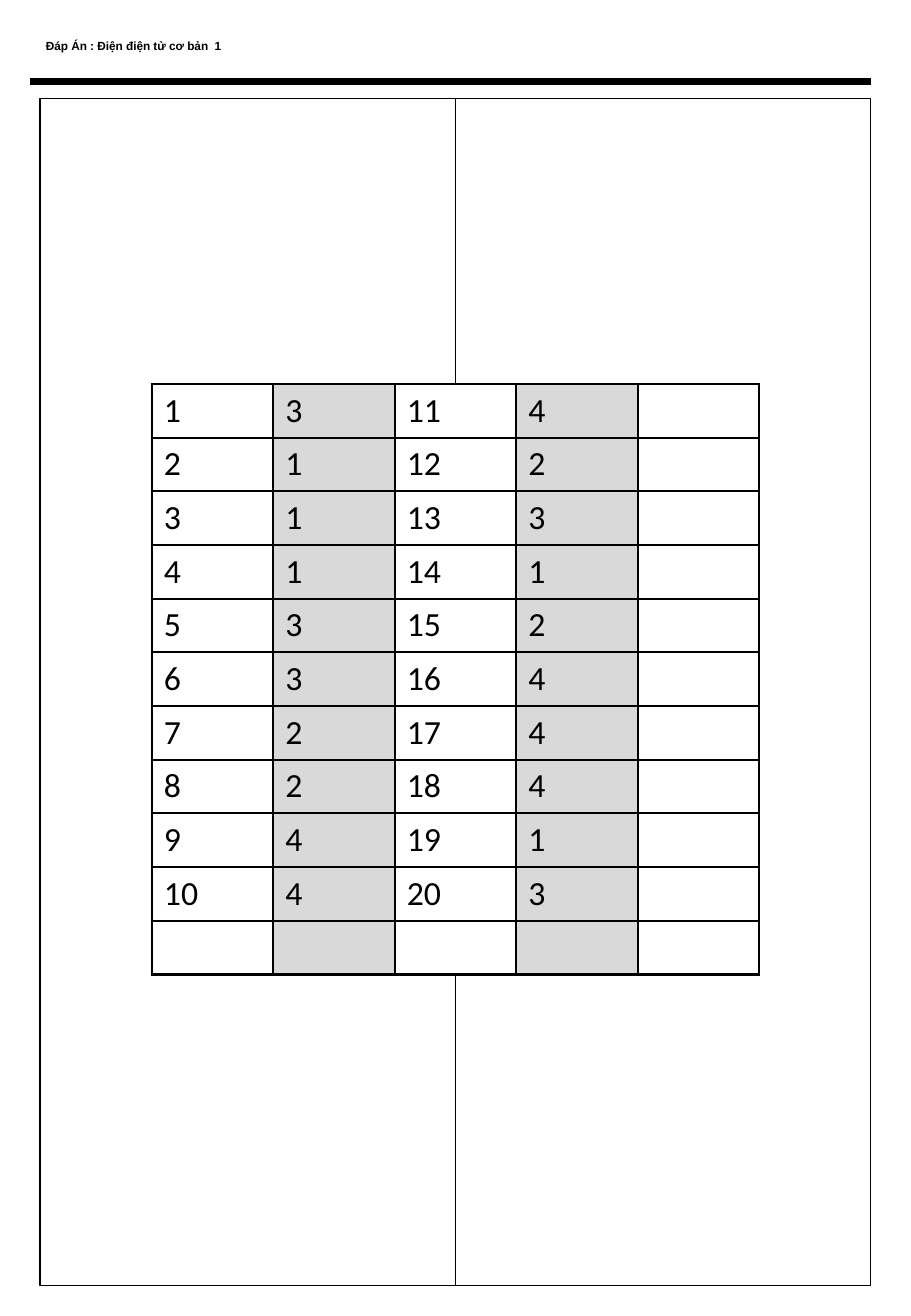
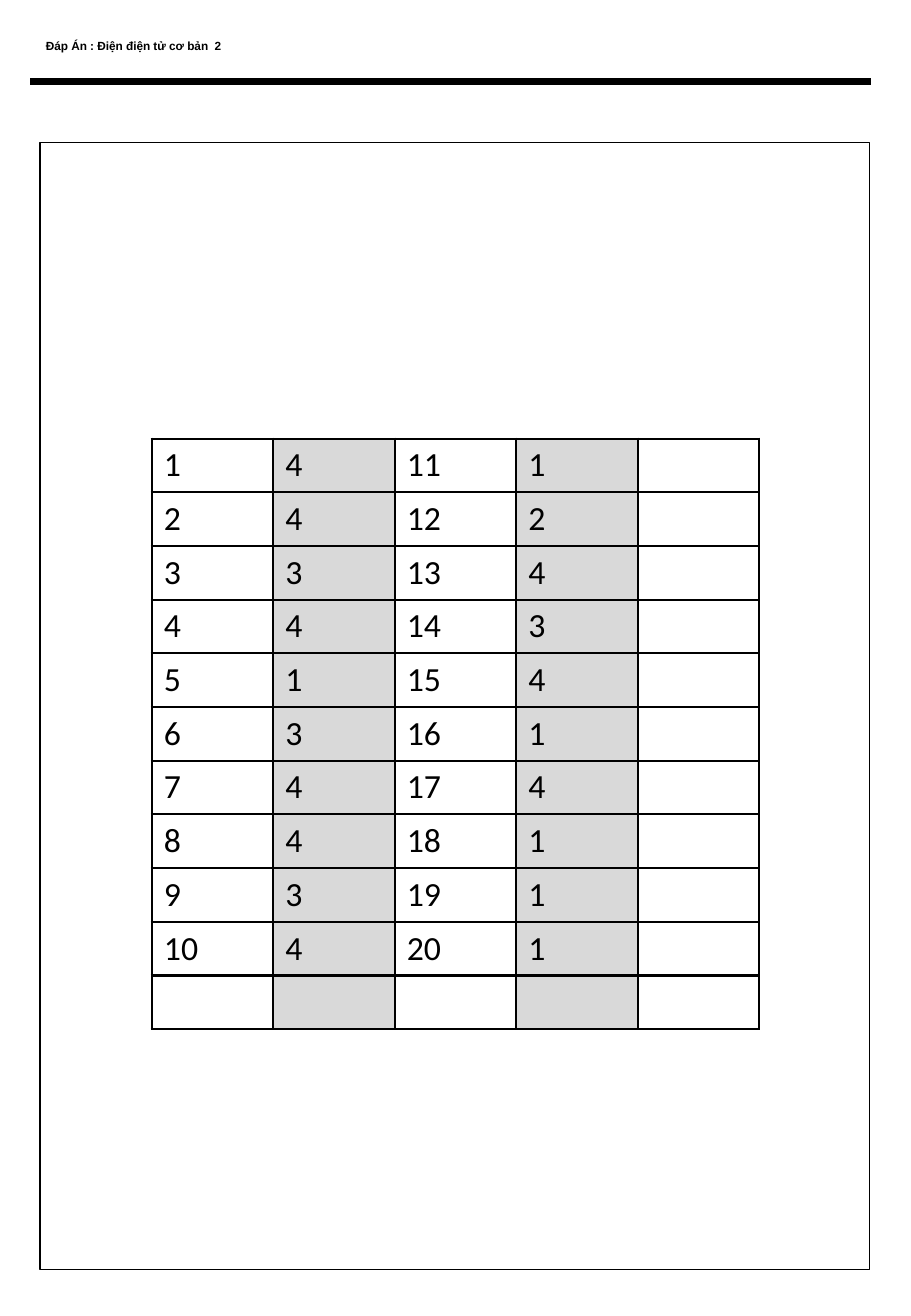
"""Build two answer-key slides for a basic electronics test."""
from lxml.etree import SubElement
from pptx import Presentation
from pptx.dml.color import RGBColor
from pptx.enum.shapes import MSO_CONNECTOR as Connector, MSO_SHAPE as Shape
from pptx.enum.text import MSO_AUTO_SIZE as AutoSize
from pptx.oxml.ns import qn
from pptx.util import Inches, Pt

COLORS = {"ink": "000000", "paper": "FFFFFF", "answer": "D9D9D9"}
TITLE = "Đáp Án : Điện điện tử cơ bản  {}"
PAGES = [
    {
        "answers": [3, 1, 1, 1, 3, 3, 2, 2, 4, 4, 4, 2, 3, 1, 2, 4, 4, 4, 1, 3],
        "frames": [(0.33, 0.81, 3.42, 9.77), (3.75, 0.81, 3.42, 9.77)],
        "table_top": 3.16,
    },
    {
        "answers": [4, 4, 3, 4, 1, 3, 4, 4, 3, 4, 1, 2, 4, 3, 4, 1, 4, 1, 1, 1],
        "frames": [(0.33, 1.17, 6.83, 9.28)],
        "table_top": 3.61,
    },
]
COLUMNS, ROWS, PER_COLUMN = 5, 11, 10
TABLE_LEFT, TABLE_WIDTH, TABLE_HEIGHT = 1.25, 5, 4.86


def color(name):
    return RGBColor.from_string(COLORS[name])


def write_text(text_frame, text, font="Calibri", size=20, bold=False):
    run = text_frame.paragraphs[0].add_run()
    run.text = text
    run.font.name = font
    run.font.size = Pt(size)
    run.font.bold = bold
    run.font.color.rgb = color("ink")


def add_header(slide, number):
    rule = slide.shapes.add_connector(
        Connector.STRAIGHT, Inches(0.25), Inches(0.67), Inches(7.17), Inches(0.67)
    )
    rule.line.color.rgb = color("ink")
    rule.line.width = Pt(4.5)
    SubElement(rule._element.spPr, qn("a:effectLst"))
    title = slide.shapes.add_textbox(*map(Inches, (0.28, 0.27, 1.76, 0.22)))
    title.text_frame.word_wrap = False
    title.text_frame.auto_size = AutoSize.SHAPE_TO_FIT_TEXT
    write_text(title.text_frame, TITLE.format(number), font="Arial", size=7, bold=True)


def add_frame(slide, box):
    frame = slide.shapes.add_shape(Shape.RECTANGLE, *map(Inches, box))
    frame.shadow.inherit = False
    frame.fill.background()
    frame.line.color.rgb = color("ink")
    frame.line.width = Pt(0.75)


def format_cell(cell, fill):
    properties = cell._tc.get_or_add_tcPr()
    for side in ("lnL", "lnR", "lnT", "lnB"):
        border = SubElement(properties, qn(f"a:{side}"), w=str(Pt(1.5)))
        solid = SubElement(border, qn("a:solidFill"))
        SubElement(solid, qn("a:srgbClr"), val=COLORS["ink"])
    cell.fill.solid()
    cell.fill.fore_color.rgb = color(fill)


def add_answer_table(slide, answers, top):
    box = map(Inches, (TABLE_LEFT, top, TABLE_WIDTH, TABLE_HEIGHT))
    table = slide.shapes.add_table(ROWS, COLUMNS, *box).table
    table.first_row = table.horz_banding = False
    for row in range(ROWS):
        for column in range(COLUMNS):
            format_cell(table.cell(row, column), "answer" if column % 2 else "paper")
    for index, answer in enumerate(answers):
        block, row = divmod(index, PER_COLUMN)
        for offset, value in enumerate((index + 1, answer)):
            write_text(table.cell(row, 2 * block + offset).text_frame, str(value))


def main():
    presentation = Presentation()
    presentation.slide_width = Inches(7.5)
    presentation.slide_height = Inches(10.83)
    for number, page in enumerate(PAGES, start=1):
        slide = presentation.slides.add_slide(presentation.slide_layouts[6])
        for box in page["frames"]:
            add_frame(slide, box)
        add_answer_table(slide, page["answers"], page["table_top"])
        add_header(slide, number)
    presentation.save("out.pptx")


if __name__ == "__main__":
    main()
